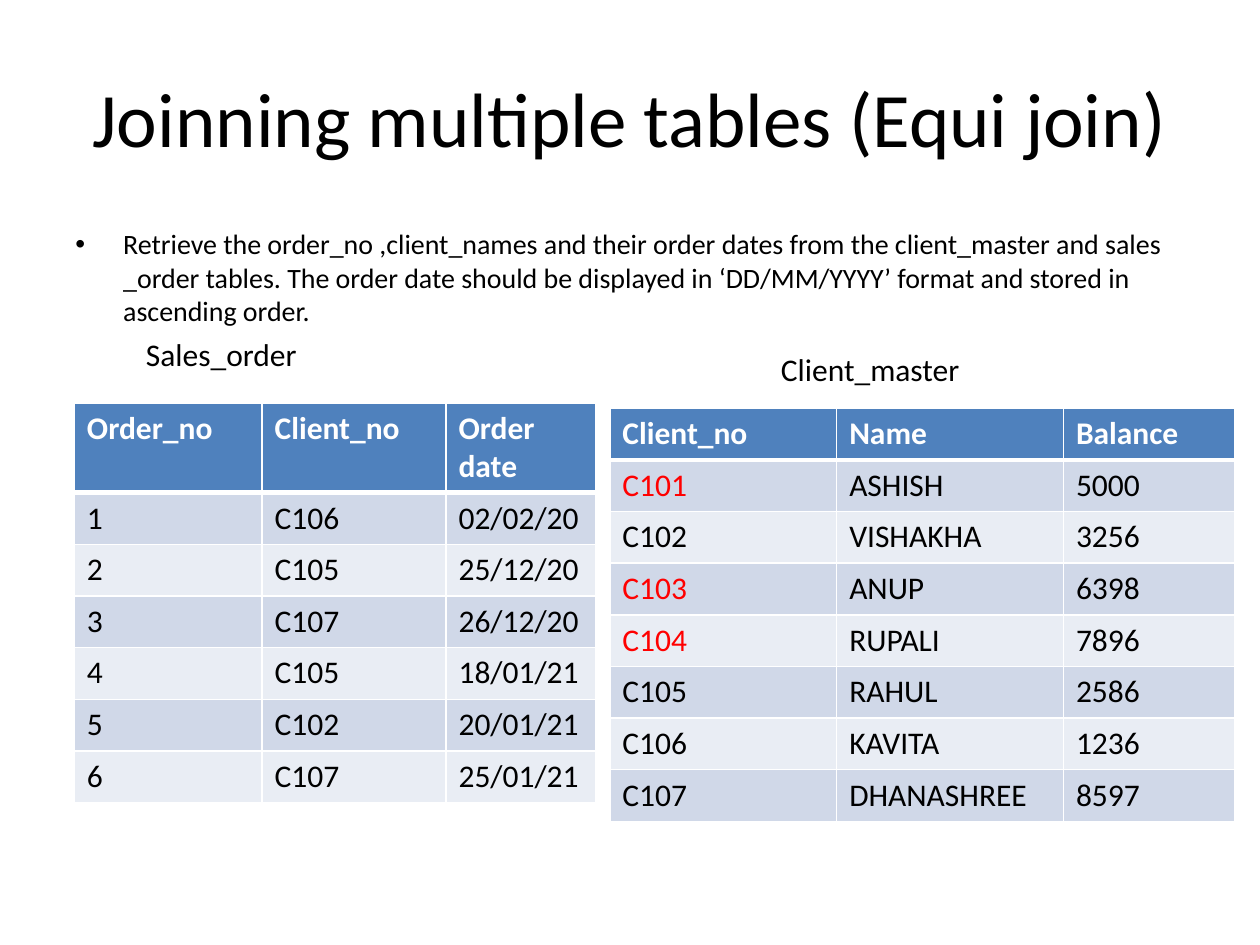
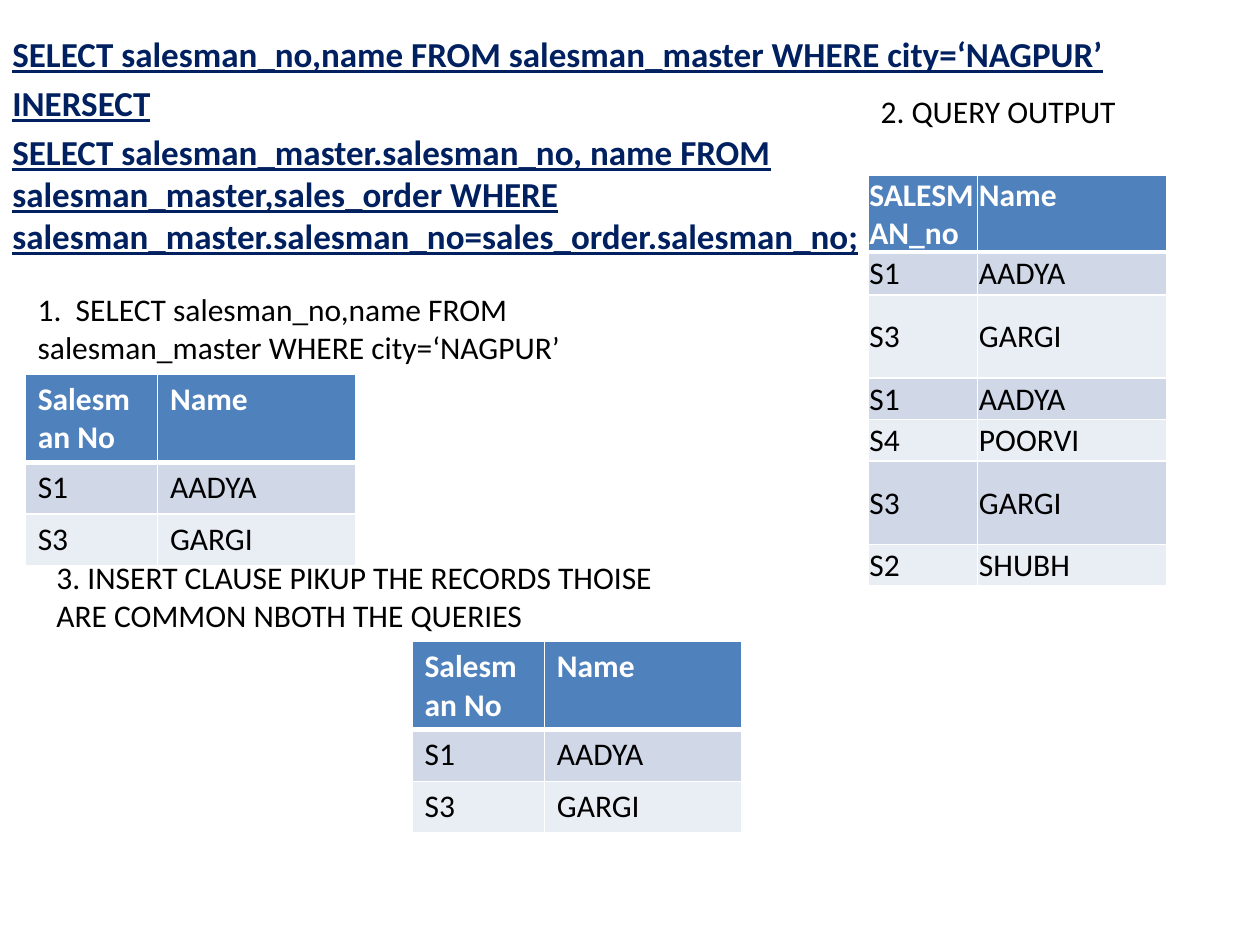
from lxml.etree import SubElement
from pptx import Presentation
from pptx.dml.color import RGBColor
from pptx.enum.text import MSO_ANCHOR, MSO_AUTO_SIZE, PP_ALIGN
from pptx.oxml import parse_xml
from pptx.oxml.ns import nsdecls, qn
from pptx.util import Inches, Pt

FONT = "Calibri"
BLACK = RGBColor(0x00, 0x00, 0x00)
WHITE = RGBColor(0xFF, 0xFF, 0xFF)
RED = RGBColor(0xFF, 0x00, 0x00)
NAVY = RGBColor(0x00, 0x20, 0x60)
HEADER = RGBColor(0x4F, 0x81, 0xBD)
BANDS = [RGBColor(0xD0, 0xD8, 0xE8), RGBColor(0xE9, 0xED, 0xF4)]

ROW_H = 0.41
TALL_H = 0.69

ORDERS = [
    ("Order_no", "Client_no", "Order date"),
    ("1", "C106", "02/02/20"),
    ("2", "C105", "25/12/20"),
    ("3", "C107", "26/12/20"),
    ("4", "C105", "18/01/21"),
    ("5", "C102", "20/01/21"),
    ("6", "C107", "25/01/21"),
]
CLIENTS = [
    ("Client_no", "Name", "Balance"),
    ("C101", "ASHISH", "5000"),
    ("C102", "VISHAKHA", "3256"),
    ("C103", "ANUP", "6398"),
    ("C104", "RUPALI", "7896"),
    ("C105", "RAHUL", "2586"),
    ("C106", "KAVITA", "1236"),
    ("C107", "DHANASHREE", "8597"),
]
CLIENTS_WITHOUT_ORDERS = ("C101", "C103", "C104")
NAGPUR_SALESMEN = [("Salesman No", "Name"), ("S1", "AADYA"), ("S3", "GARGI")]
ORDER_SALESMEN = [
    ("SALESMAN_no", "Name"),
    ("S1", "AADYA"),
    ("S3", "GARGI"),
    ("S1", "AADYA"),
    ("S4", "POORVI"),
    ("S3", "GARGI"),
    ("S2", "SHUBH"),
]
INTERSECT_QUERY = [
    "SELECT salesman_no,name FROM salesman_master WHERE city=‘NAGPUR’",
    "INERSECT",
    "SELECT salesman_master.salesman_no, name FROM "
    "salesman_master,sales_order WHERE "
    "salesman_master.salesman_no=sales_order.salesman_no;",
]


def style_runs(p, size=18, color=BLACK, bold=False, underline=False):
    """Format every run of a paragraph."""
    for r in p.runs:
        r.font.name = FONT
        r.font.size = Pt(size)
        r.font.color.rgb = color
        r.font.bold = bold
        r.font.underline = underline


def add_text(slide, at, lines, wrap=True, grow=False, space=0, **style):
    """Add a text box with one paragraph per line and return its frame."""
    tf = slide.shapes.add_textbox(*map(Inches, at)).text_frame
    tf.word_wrap = wrap
    tf.auto_size = MSO_AUTO_SIZE.SHAPE_TO_FIT_TEXT if grow else MSO_AUTO_SIZE.NONE
    tf.text = "\n".join(lines)
    for p in tf.paragraphs:
        p.space_before = Pt(space)
        style_runs(p, **style)
    return tf


def add_label(slide, at, text, wrap=True):
    """Add a caption that fits its text."""
    add_text(slide, at, [text], wrap=wrap, grow=True)


def add_title(slide, text):
    """Add the centred slide title."""
    tf = add_text(slide, (0.5, 0.3, 9, 1.25), [text], size=44)
    tf.vertical_anchor = MSO_ANCHOR.MIDDLE
    tf.paragraphs[0].alignment = PP_ALIGN.CENTER


def add_bullet(p, indent):
    """Give a paragraph a round bullet with a hanging indent."""
    pPr = p._p.get_or_add_pPr()
    pPr.set("marL", str(Inches(indent)))
    pPr.set("indent", str(-Inches(indent)))
    SubElement(pPr, qn("a:buFont")).set("typeface", "Arial")
    SubElement(pPr, qn("a:buChar")).set("char", "•")


def set_borders(cell, top, bottom):
    """Draw white borders of 1 pt at the sides and the given widths elsewhere."""
    tcPr = cell._tc.get_or_add_tcPr()
    widths = {"lnL": 1, "lnR": 1, "lnT": top, "lnB": bottom}
    for i, (tag, width) in enumerate(widths.items()):
        tcPr.insert(i, parse_xml(
            f'<a:{tag} {nsdecls("a")} w="{Pt(width)}"><a:solidFill>'
            f'<a:srgbClr val="{WHITE}"/></a:solidFill></a:{tag}>'))


def add_data_table(slide, left, top, rows, widths, heights, red=(), tight=False):
    """Add a banded table; tight cells have thin margins and centred text."""
    table = slide.shapes.add_table(
        len(rows), len(widths), Inches(left), Inches(top),
        Inches(sum(widths)), Inches(sum(heights))).table
    for column, width in zip(table.columns, widths):
        column.width = Inches(width)
    for i, (values, height) in enumerate(zip(rows, heights)):
        table.rows[i].height = Inches(height)
        is_header = i == 0
        for j, value in enumerate(values):
            cell = table.cell(i, j)
            cell.text = value
            color = WHITE if is_header else RED if value in red else BLACK
            style_runs(cell.text_frame.paragraphs[0], color=color, bold=is_header)
            if tight:
                cell.margin_left = cell.margin_right = cell.margin_top = Inches(0.01)
                cell.margin_bottom = 0
                cell.vertical_anchor = MSO_ANCHOR.TOP if is_header else MSO_ANCHOR.MIDDLE
            cell.fill.solid()
            cell.fill.fore_color.rgb = HEADER if is_header else BANDS[(i - 1) % 2]
            set_borders(cell, top=3 if i == 1 else 1, bottom=3 if is_header else 1)


def build_equi_join(slide):
    """Show the join task and its two source tables."""
    add_title(slide, "Joinning multiple tables (Equi join)")
    tf = add_text(slide, (0.5, 1.75, 9, 4.95), [
        "Retrieve the order_no ,client_names and their order dates from the "
        "client_master and sales _order tables. The order date should be displayed "
        "in ‘DD/MM/YYYY’ format and stored in ascending order."], size=16, space=3)
    add_bullet(tf.paragraphs[0], 0.38)
    add_data_table(slide, 0.59, 3.2, ORDERS, [1.49, 1.46, 1.19],
                   [TALL_H] + [ROW_H] * 6)
    add_label(slide, (1.06, 2.61, 1.41, 0.4), "Sales_order", wrap=False)
    add_data_table(slide, 4.84, 3.24, CLIENTS, [1.8, 1.8, 1.36],
                   [ROW_H] * 8, red=CLIENTS_WITHOUT_ORDERS)
    add_label(slide, (6.1, 2.73, 1.63, 0.4), "Client_master", wrap=False)


def build_intersect(slide):
    """Show the intersect query, the output of both parts and the result."""
    add_text(slide, (0, 0.21, 9, 4.95), INTERSECT_QUERY, size=20, space=4,
             color=NAVY, bold=True, underline=True)
    add_label(slide, (0.2, 2.25, 4.72, 0.71),
              "1.  SELECT salesman_no,name FROM salesman_master WHERE city=‘NAGPUR’")
    add_label(slide, (6.89, 0.68, 2.52, 0.4), "2. QUERY OUTPUT")
    add_data_table(slide, 6.89, 1.39, ORDER_SALESMEN, [0.87, 1.5],
                   [0.6, 0.34, 0.66, 0.33, 0.33, 0.66, 0.33], tight=True)
    add_label(slide, (0.35, 4.38, 5.2, 0.71),
              "3. INSERT CLAUSE PIKUP THE RECORDS THOISE ARE COMMON NBOTH THE QUERIES")
    for left, top in [(0.2, 2.97), (3.27, 5.09)]:
        add_data_table(slide, left, top, NAGPUR_SALESMEN, [1.05, 1.57],
                       [TALL_H, ROW_H, ROW_H])


def main():
    """Build and save the presentation."""
    prs = Presentation()
    prs.slide_width, prs.slide_height = Inches(10), Inches(7.5)
    for build in (build_equi_join, build_intersect):
        build(prs.slides.add_slide(prs.slide_layouts[6]))
    prs.save("out.pptx")


main()
